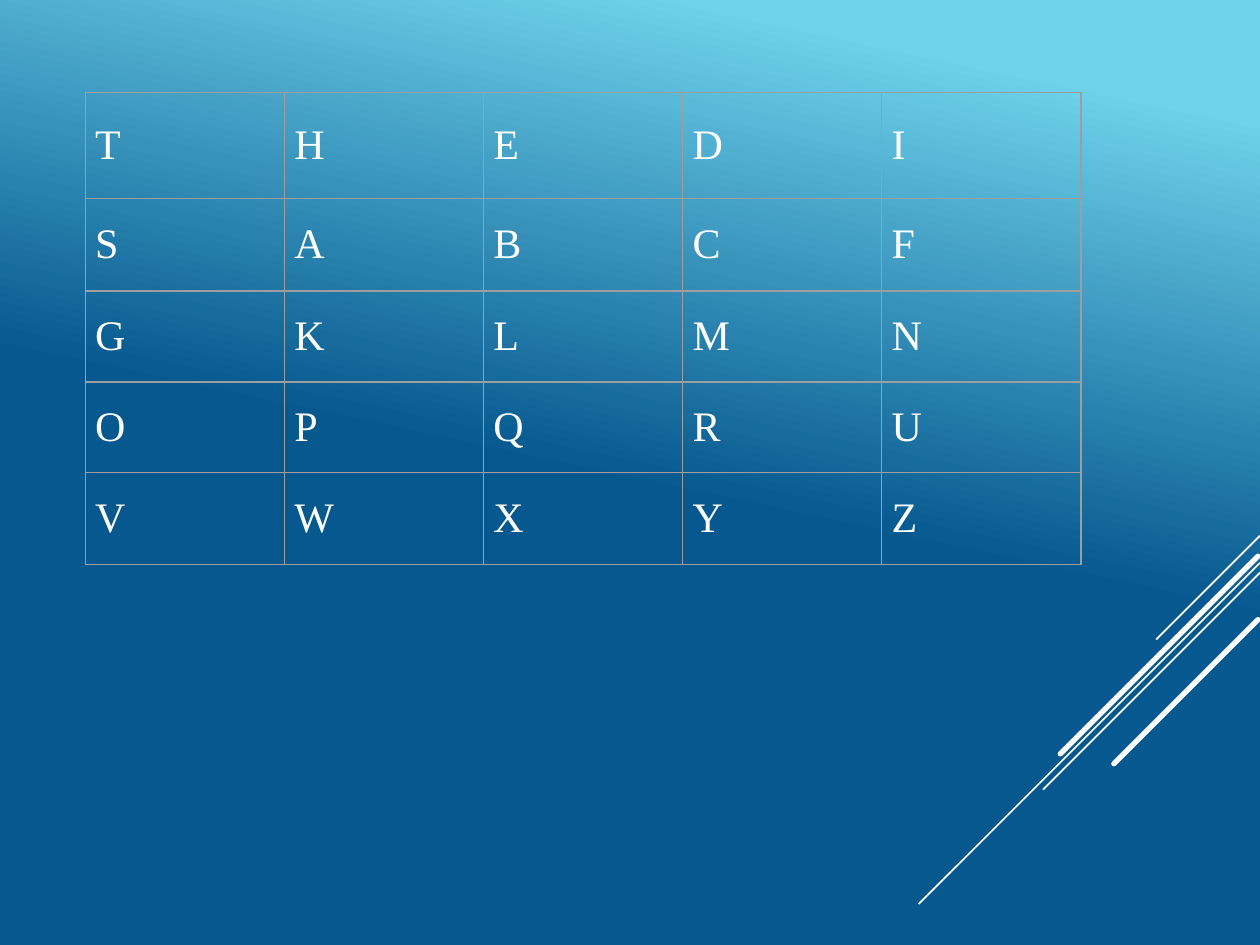
from dataclasses import dataclass

from lxml import etree
from pptx import Presentation
from pptx.dml.color import RGBColor
from pptx.enum.shapes import MSO_CONNECTOR
from pptx.enum.text import MSO_ANCHOR
from pptx.oxml.ns import qn
from pptx.util import Cm, Pt

STRAIGHT = MSO_CONNECTOR.STRAIGHT
MIDDLE = MSO_ANCHOR.MIDDLE
BLANK_LAYOUT = 6


@dataclass(frozen=True)
class Theme:
    sky: str = "6ED2EB"
    deep: str = "06588E"
    white: str = "FFFFFF"
    grid: str = "9E9E9E"
    font: str = "Times New Roman"
    letter_size: float = 18
    thin: float = 0.75
    thick: float = 2.25


THEME = Theme()

KEY_SQUARE = ["THEDI", "SABCF", "GKLMN", "OPQRU", "VWXYZ"]
ROW_HEIGHTS = [1.6, 1.4, 1.38, 1.37, 1.39]
COLUMN_WIDTH = 3.01

# Right end x and y, run down to the left at 45 degrees, line weight
STREAKS = [
    (19.05, 8.1, 1.57, THEME.thin),
    (19.05, 8.51, 5.16, THEME.thin),
    (19.05, 8.66, 3.28, THEME.thin),
    (19.02, 8.41, 2.99, THEME.thick),
    (19.02, 9.37, 2.18, THEME.thick),
]


def paint_background(page):
    fill = page.background.fill
    fill.gradient()
    fill.gradient_angle = 258
    stops = [(0.1, THEME.sky), (0.51, THEME.deep)]
    for stop, (position, color) in zip(fill.gradient_stops, stops):
        stop.position = position
        stop.color.rgb = RGBColor.from_string(color)


def add_streak(page, x, y, run, weight):
    streak = page.shapes.add_connector(
        STRAIGHT, Cm(x), Cm(y), Cm(x - run), Cm(y + run))
    streak.line.color.rgb = RGBColor.from_string(THEME.white)
    streak.line.width = Pt(weight)
    if weight == THEME.thick:
        streak.line._get_or_add_ln().set("cap", "rnd")
    etree.SubElement(streak._element.spPr, qn("a:effectLst"))


def add_borders(cell):
    """Draw all four sides; must run before the cell's fill is set."""
    properties = cell._tc.get_or_add_tcPr()
    for side in ("a:lnL", "a:lnR", "a:lnT", "a:lnB"):
        line = etree.SubElement(properties, qn(side), w=str(Pt(THEME.thin)))
        fill = etree.SubElement(line, qn("a:solidFill"))
        etree.SubElement(fill, qn("a:srgbClr"), val=THEME.grid)


def fill_cell(cell, letter):
    add_borders(cell)
    cell.fill.background()
    layout = {
        "vertical_anchor": MIDDLE,
        "margin_left": Cm(0.15),
        "margin_right": Cm(0.15),
        "margin_top": 0,
        "margin_bottom": 0,
    }
    for name, value in layout.items():
        setattr(cell, name, value)
    span = cell.text_frame.paragraphs[0].add_run()
    span.text = letter
    span.font.name = THEME.font
    span.font.size = Pt(THEME.letter_size)
    span.font.color.rgb = RGBColor.from_string(THEME.white)


def add_key_square(page, left, top):
    columns = len(KEY_SQUARE[0])
    table = page.shapes.add_table(
        len(KEY_SQUARE), columns, Cm(left), Cm(top),
        Cm(COLUMN_WIDTH * columns), Cm(sum(ROW_HEIGHTS))).table
    table.first_row = False
    table.horz_banding = False
    for column in table.columns:
        column.width = Cm(COLUMN_WIDTH)
    for row, height, letters in zip(table.rows, ROW_HEIGHTS, KEY_SQUARE):
        row.height = Cm(height)
        for cell, letter in zip(row.cells, letters):
            fill_cell(cell, letter)


def main():
    deck = Presentation()
    deck.slide_width, deck.slide_height = Cm(19.05), Cm(14.29)
    page = deck.slides.add_slide(deck.slide_layouts[BLANK_LAYOUT])
    paint_background(page)
    for streak in STREAKS:
        add_streak(page, *streak)
    add_key_square(page, 1.29, 1.4)
    deck.save("out.pptx")


if __name__ == "__main__":
    main()
